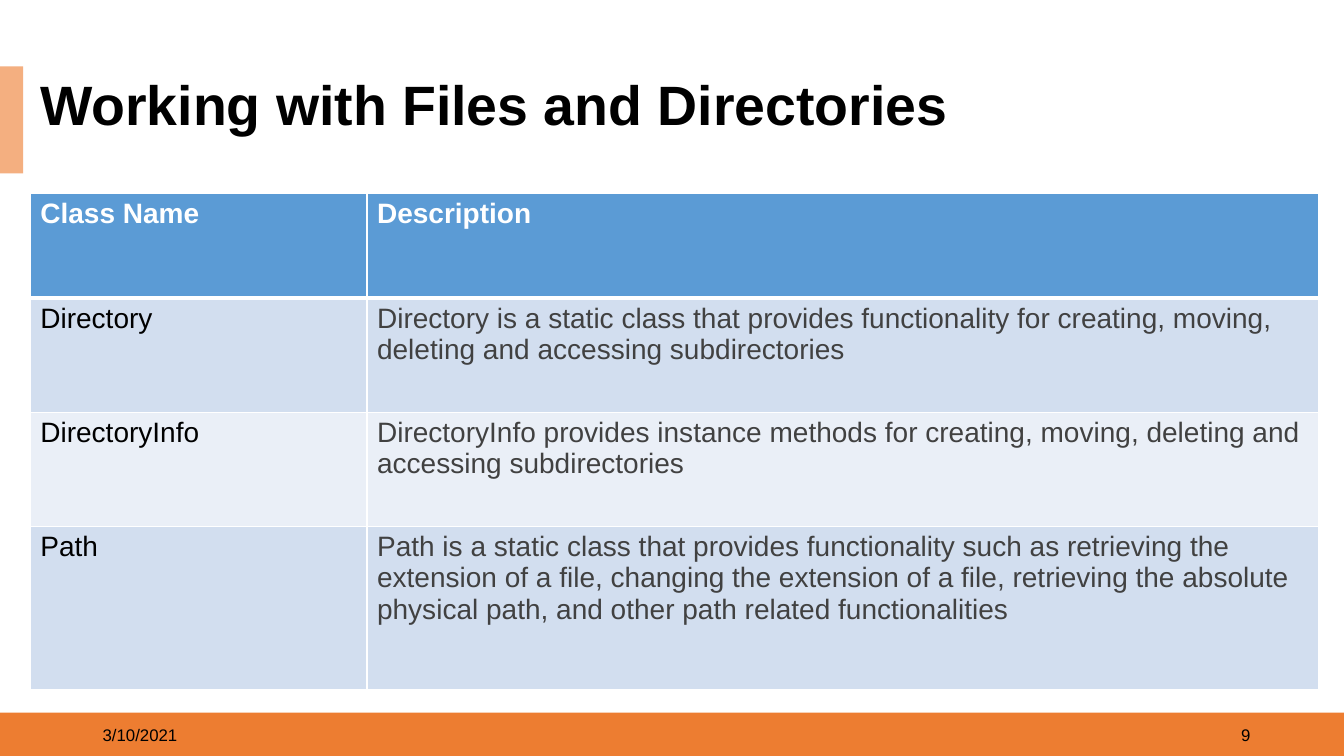
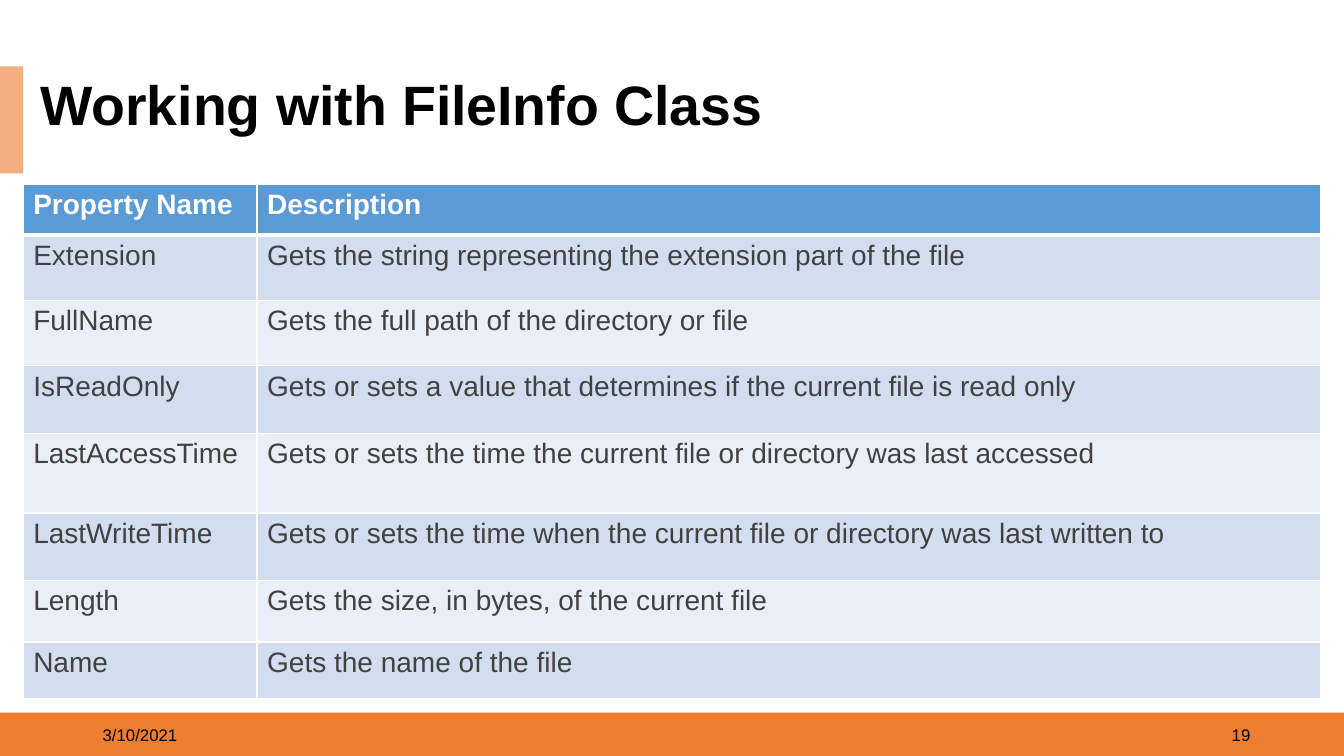
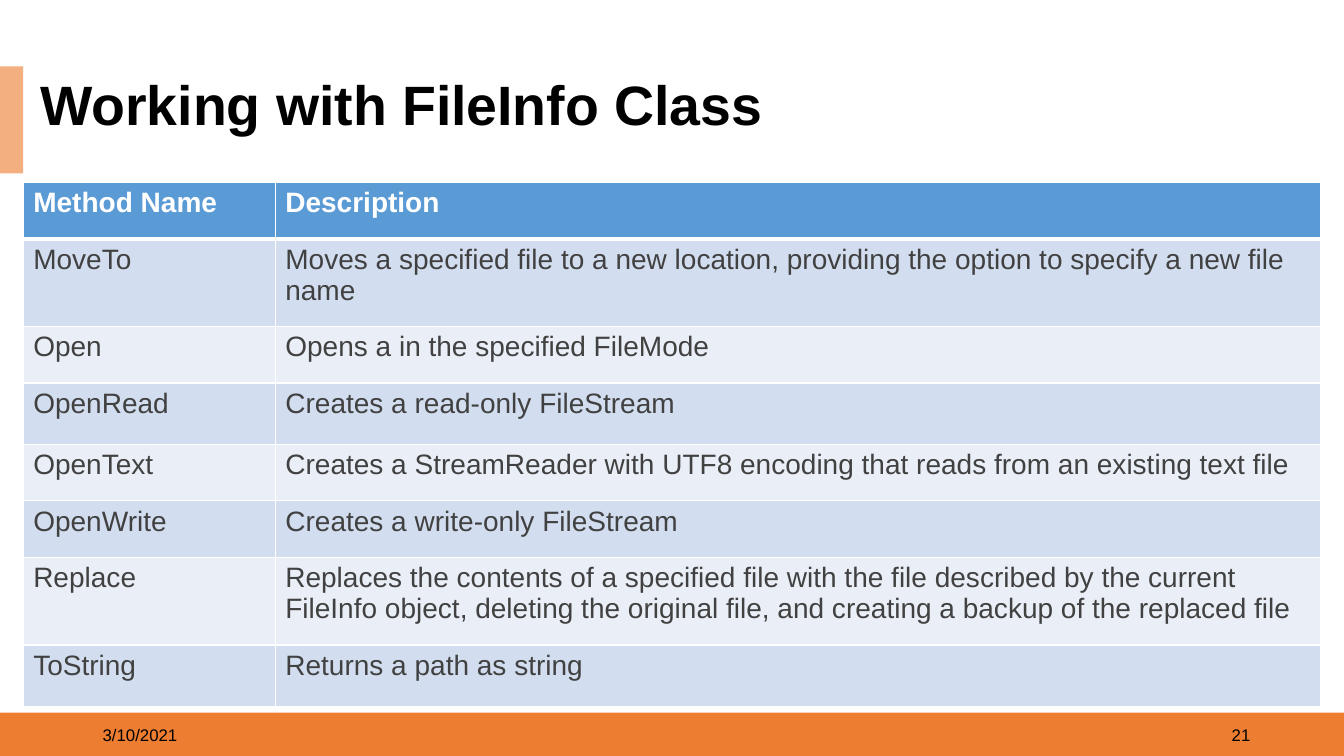
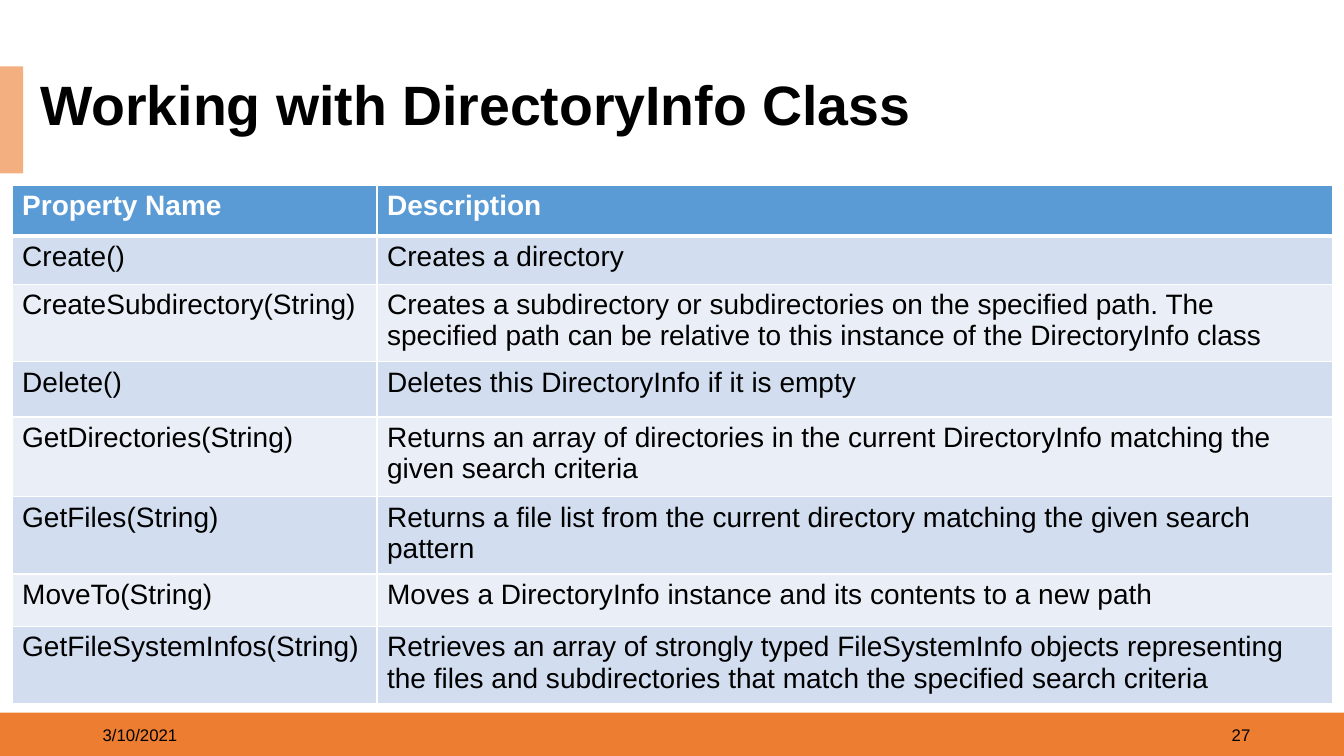
from dataclasses import dataclass

from lxml import etree
from pptx import Presentation
from pptx.dml.color import RGBColor
from pptx.enum import shapes, text
from pptx.oxml import ns
from pptx.util import Inches, Pt

COLOURS = {
    "footer": "ED7D31",
    "accent": "F4AF80",
    "header": "5B9BD5",
    "odd": "D2DEEF",
    "even": "EAEFF7",
    "white": "FFFFFF",
    "black": "000000",
    "grey": "414141",
}
FONT = "Arial"
DATE = "3/10/2021"
BLANK_LAYOUT = 6
THIN, THICK = 1, 3


@dataclass
class ClassTable:
    """A page: heading, place of its table, and (height, name, description) rows."""
    title: str
    title_width: float
    number: int
    corner: tuple
    columns: tuple
    rows: list
    name_colour: str = "grey"
    text_colour: str = "grey"
    header_spacing: int = 6


PAGES = [
    ClassTable(
        "Working with Files and Directories", 9.72, 9, (0.3, 1.92), (3.34, 9.44),
        [
            (1.04, "Class Name", "Description"),
            (1.13, "Directory", "Directory is a static class that provides functionality for "
             "creating, moving, deleting and accessing subdirectories"),
            (1.13, "DirectoryInfo", "DirectoryInfo provides instance methods for creating, "
             "moving, deleting and accessing subdirectories"),
            (1.62, "Path", "Path is a static class that provides functionality such as "
             "retrieving the extension of a file, changing the extension of a file, retrieving "
             "the absolute physical path, and other path related functionalities"),
        ],
        name_colour="black", header_spacing=0,
    ),
    ClassTable(
        "Working with FileInfo Class", 8.15, 19, (0.23, 1.83), (2.32, 10.55),
        [
            (0.5, "Property Name", "Description"),
            (0.65, "Extension", "Gets the string representing the extension part of the file"),
            (0.65, "FullName", "Gets the full path of the directory or file"),
            (0.67, "IsReadOnly", "Gets or sets a value that determines if the current file is "
             "read only"),
            (0.79, "LastAccessTime", "Gets or sets the time the current file or directory was "
             "last accessed"),
            (0.67, "LastWriteTime", "Gets or sets the time when the current file or directory "
             "was last written to"),
            (0.61, "Length", "Gets the size, in bytes, of the current file"),
            (0.56, "Name", "Gets the name of the file"),
        ],
    ),
    ClassTable(
        "Working with FileInfo Class", 8.15, 21, (0.23, 1.81), (2.5, 10.37),
        [
            (0.56, "Method Name", "Description"),
            (0.87, "MoveTo", "Moves a specified file to a new location, providing the option "
             "to specify a new file name"),
            (0.56, "Open", "Opens a in the specified FileMode"),
            (0.61, "OpenRead", "Creates a read-only FileStream"),
            (0.56, "OpenText", "Creates a StreamReader with UTF8 encoding that reads from an "
             "existing text file"),
            (0.56, "OpenWrite", "Creates a write-only FileStream"),
            (0.87, "Replace", "Replaces the contents of a specified file with the file "
             "described by the current FileInfo object, deleting the original file, and "
             "creating a backup of the replaced file"),
            (0.61, "ToString", "Returns a path as string"),
        ],
    ),
    ClassTable(
        "Working with DirectoryInfo Class", 9.02, 27, (0.12, 1.84), (3.62, 9.48),
        [
            (0.5, "Property Name", "Description"),
            (0.48, "Create()", "Creates a directory"),
            (0.72, "CreateSubdirectory(String)", "Creates a subdirectory or subdirectories on "
             "the specified path. The specified path can be relative to this instance of "
             "the DirectoryInfo class"),
            (0.55, "Delete()", "Deletes this DirectoryInfo if it is empty"),
            (0.79, "GetDirectories(String)", "Returns an array of directories in the "
             "current DirectoryInfo matching the given search criteria"),
            (0.72, "GetFiles(String)", "Returns a file list from the current directory "
             "matching the given search pattern"),
            (0.52, "MoveTo(String)", "Moves a DirectoryInfo instance and its contents to a "
             "new path"),
            (0.72, "GetFileSystemInfos(String)", "Retrieves an array of strongly "
             "typed FileSystemInfo objects representing the files and subdirectories that "
             "match the specified search criteria"),
        ],
        name_colour="black", text_colour="black",
    ),
]


def paint(fill, colour):
    fill.solid()
    fill.fore_color.rgb = RGBColor.from_string(COLOURS[colour])


def write(frame, words, size, colour="black", bold=False):
    para = frame.paragraphs[0]
    span = para.add_run()
    span.text = words
    span.font.name = FONT
    span.font.size = Pt(size)
    span.font.bold = bold
    span.font.color.rgb = RGBColor.from_string(COLOURS[colour])
    return para


def add_band(page, left, top, width, height, colour):
    band = page.shapes.add_shape(
        shapes.MSO_SHAPE.RECTANGLE, *map(Inches, (left, top, width, height)))
    band.shadow.inherit = False
    band.line.fill.background()
    paint(band.fill, colour)


def add_label(page, left, top, width, height, words, size, bold=False):
    box = page.shapes.add_textbox(*map(Inches, (left, top, width, height)))
    box.text_frame.word_wrap = True
    box.text_frame.vertical_anchor = text.MSO_ANCHOR.MIDDLE
    return box, write(box.text_frame, words, size, bold=bold)


def add_frame(page, title, title_width, number):
    """Add what every page shares: bands, date, page number and title."""
    add_band(page, 0, 7.07, 13.33, 0.44, "footer")
    add_band(page, 0, 0.66, 0.23, 1.06, "accent")
    add_label(page, 0.92, 7.09, 3, 0.4, DATE, 12)
    _, para = add_label(page, 9.5, 7.09, 3, 0.4, str(number), 12)
    para.alignment = text.PP_ALIGN.RIGHT
    box, para = add_label(page, 0.3, 0.75, title_width, 0.63, title, 39.6, bold=True)
    para.line_spacing = 0.9
    paint(box.fill, "white")


def set_borders(cell, top, bottom):
    properties = cell._tc.get_or_add_tcPr()
    for side, width in (("L", THIN), ("R", THIN), ("T", top), ("B", bottom)):
        line = etree.SubElement(properties, ns.qn(f"a:ln{side}"), w=str(Pt(width)))
        fill = etree.SubElement(line, ns.qn("a:solidFill"))
        etree.SubElement(fill, ns.qn("a:srgbClr"), val=COLOURS["white"])


def add_class_table(page, content):
    heights = [row[0] for row in content.rows]
    size = sum(content.columns), sum(heights)
    table = page.shapes.add_table(
        len(heights), len(content.columns), *map(Inches, content.corner + size)).table
    table.horz_banding = False
    for column, width in zip(table.columns, content.columns):
        column.width = Inches(width)
    for i, (height, *words) in enumerate(content.rows):
        table.rows[i].height = Inches(height)
        header = i == 0
        fill = "header" if header else "odd" if i % 2 else "even"
        colours = ("white", "white") if header else (content.name_colour, content.text_colour)
        for j, (entry, colour) in enumerate(zip(words, colours)):
            cell = table.cell(i, j)
            set_borders(cell, THICK if i == 1 else THIN, THICK if header else THIN)
            paint(cell.fill, fill)
            para = write(cell.text_frame, entry, 20, colour, bold=header)
            if header:
                para.space_before = para.space_after = Pt(content.header_spacing)


def main():
    deck = Presentation()
    deck.slide_width, deck.slide_height = Inches(13.33), Inches(7.5)
    for content in PAGES:
        page = deck.slides.add_slide(deck.slide_layouts[BLANK_LAYOUT])
        add_frame(page, content.title, content.title_width, content.number)
        add_class_table(page, content)
    deck.save("out.pptx")


if __name__ == "__main__":
    main()
